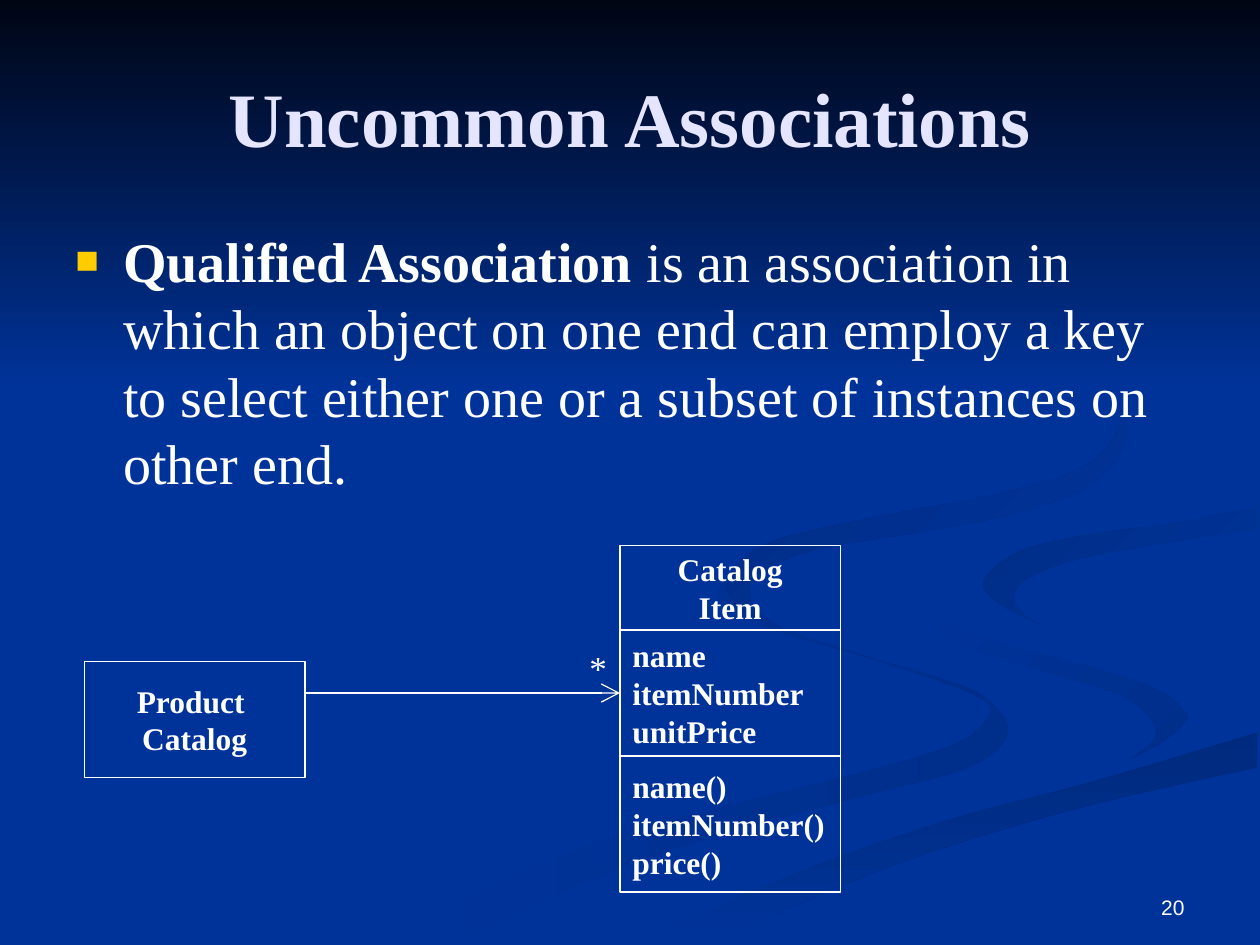
"""Build the Uncommon Associations slide with its class diagram."""
from lxml import etree
from pptx import Presentation
from pptx.dml.color import RGBColor
from pptx.enum.shapes import MSO_CONNECTOR as CONN, MSO_SHAPE as SHAPE
from pptx.enum.text import MSO_ANCHOR as ANCHOR, PP_ALIGN as ALIGN
from pptx.oxml.ns import qn
from pptx.util import Inches, Pt

C = {name: RGBColor.from_string(value) for name, value in {
    "bg": "003399", "night": "000514", "title": "E5E5FF", "white": "FFFFFF",
    "bullet": "FFCC00", "deep": "002A7D", "shade": "002B82", "dusk": "002D86",
    "dim": "002E8B"}.items()}
STEPS = 6


def smooth(knots):
    """Return points on a Catmull-Rom curve through the knots."""
    padded = [knots[0], *knots, knots[-1]]
    curve = []
    for a, b, c, d in zip(padded, padded[1:], padded[2:], padded[3:]):
        for step in range(STEPS):
            t = step / STEPS
            curve.append(tuple(
                (2 * q + (r - p) * t + (2 * p - 5 * q + 4 * r - s) * t ** 2
                 + (3 * q - p - 3 * r + s) * t ** 3) / 2
                for p, q, r, s in zip(a, b, c, d)))
    return curve + [knots[-1]]


def write(sp, paras, size, color="white", font="Times New Roman",
          align=ALIGN.LEFT, anchor=ANCHOR.TOP):
    """Fill a shape with paragraphs of (text, bold) runs."""
    tf = sp.text_frame
    for name, value in {"word_wrap": True, "vertical_anchor": anchor}.items():
        setattr(tf, name, value)
    for i, runs in enumerate(paras):
        p = tf.add_paragraph() if i else tf.paragraphs[0]
        p.alignment = align
        for text, bold in runs:
            r = p.add_run()
            r.text = text
            for name, value in {"size": Pt(size), "name": font, "bold": bold}.items():
                setattr(r.font, name, value)
            r.font.color.rgb = C[color]
    return tf


prs = Presentation()
prs.slide_width, prs.slide_height = Inches(10), Inches(7.5)
s = prs.slides.add_slide(prs.slide_layouts[6])
s.background.fill.solid()
s.background.fill.fore_color.rgb = C["bg"]

stream_outer = [(5.75, 4.59), (5.83, 4.77), (6.14, 4.96), (6.82, 5.19), (7.45, 5.38), (7.81, 5.53),
                (8, 5.81), (7.69, 6.09), (6.76, 6.34), (5.64, 6.65), (4.66, 7), (3.61, 7.49)]
stream_inner = [(5.75, 4.59), (5.72, 4.76), (6.11, 4.99), (6.79, 5.19), (7.41, 5.39), (7.76, 5.53),
                (7.86, 5.66), (7.59, 5.9), (6.84, 6.13), (5.79, 6.39), (4.58, 6.74), (3, 7.49)]
fold_outer = [(7.24, 4.64), (7.45, 4.9), (7.92, 5.09), (8.7, 5.3), (9.19, 5.47), (9.43, 5.7),
              (9.32, 5.89), (8.94, 6.05)]
fold_inner = [(7.24, 4.64), (7.39, 4.94), (7.81, 5.18), (8.38, 5.36), (8.92, 5.53), (9.18, 5.81),
              (8.94, 6.05)]
bank_top = [(5.03, 7.49), (5.69, 7.19), (6.62, 6.81), (7.64, 6.47), (8.67, 6.2), (9.98, 5.81)]
bank_bottom = [(5.71, 7.49), (6.3, 7.19), (7.22, 6.82), (8.21, 6.51), (9.03, 6.3), (9.98, 6.09)]
pool_outer = [(9.98, 4.02), (9.33, 4.15), (8.65, 4.24), (8.1, 4.37), (7.81, 4.6), (7.91, 4.78),
              (8.26, 4.96)]
pool_inner = [(9.98, 4.2), (9.36, 4.29), (8.59, 4.43), (8.16, 4.59), (8.05, 4.74), (8.12, 4.87),
              (8.26, 4.96)]
crest_outer = [(7.62, 2.33), (8.21, 2.61), (8.73, 2.99), (8.94, 3.44), (8.67, 3.84), (8.07, 4.07),
               (7.39, 4.21), (6.49, 4.36), (6.01, 4.56), (5.97, 4.8), (6.22, 5)]
crest_inner = [(7.62, 2.33), (8.26, 2.66), (8.76, 3.06), (8.89, 3.35), (8.61, 3.7), (7.91, 3.92),
               (6.76, 4.14), (6.05, 4.33), (5.77, 4.62), (5.9, 4.84), (6.22, 5)]
river_source = [(9.98, 3.87), (9.2, 4.01), (8.3, 4.15), (7.55, 4.32)]
river_mouth = [(8.92, 6.05), (7.8, 6.34), (6.63, 6.68), (5.73, 7.03), (4.77, 7.49)]
river_left = smooth(river_source + fold_outer[:6] + river_mouth)
river_right = smooth(pool_outer + [(9.04, 5.19), (9.98, 5.38)]) + smooth(bank_top[::-1])

ribbons = [
    (smooth(stream_outer), smooth(stream_inner), "bg", "dim", 0),
    (smooth(fold_outer), smooth(fold_inner), "bg", "dim", 45),
    (smooth(bank_top), smooth(bank_bottom), "deep", "bg", 90),
    (river_left, river_right, "bg", "bg", 0),
    (smooth(pool_outer), smooth(pool_inner), "dusk", "bg", 45),
    (smooth(crest_outer), smooth(crest_inner), "shade", "bg", 45),
    ([(0, 0), (10, 0)], [(0, 3.08), (10, 3.08)], "night", "bg", 90),
]
for edge, other_edge, first, last, angle in ribbons:
    outline = [(Inches(x), Inches(y)) for x, y in edge + other_edge[::-1]]
    builder = s.shapes.build_freeform(*outline[0])
    builder.add_line_segments(outline[1:], close=True)
    sp = builder.convert_to_shape()
    sp.shadow.inherit = False
    sp.line.fill.background()
    sp.fill.gradient()
    sp.fill.gradient_angle = -angle % 360
    for stop, color in zip(sp.fill.gradient_stops, (first, last)):
        stop.color.rgb = C[color]

title = s.shapes.add_textbox(Inches(0.5), Inches(0.3), Inches(9), Inches(1.25))
write(title, [[("Uncommon Associations", True)]], 44, "title",
      align=ALIGN.CENTER, anchor=ANCHOR.MIDDLE)

body = s.shapes.add_textbox(Inches(0.5), Inches(1.75), Inches(9), Inches(2.25))
definition = [("Qualified Association", True),
              (" is an association in which an object on one end can employ a key "
               "to select either one or a subset of instances on other end.", False)]
p = write(body, [definition], 32).paragraphs[0]
p.space_before = Pt(8)
pPr = p._p.get_or_add_pPr()
for name, value in {"marL": 0.38, "indent": -0.38}.items():
    pPr.set(name, str(Inches(value)))
bullet_color = etree.SubElement(pPr, qn("a:buClr"))
etree.SubElement(bullet_color, qn("a:srgbClr"), val=str(C["bullet"]))
for tag, attrs in {"a:buSzPct": {"val": "70000"}, "a:buFont": {"typeface": "Arial"},
                   "a:buChar": {"char": "■"}}.items():
    etree.SubElement(pPr, qn(tag), attrs)

box_w, catalog_x, item_x, arrow_y = 1.75, 0.67, 4.92, 5.5
class_boxes = [
    (catalog_x, 5.25, 0.92, ALIGN.CENTER, ["Product ", "Catalog"]),
    (item_x, 4.33, 0.67, ALIGN.CENTER, ["Catalog", "Item"]),
    (item_x, 5, 1, ALIGN.LEFT, ["name", "itemNumber", "unitPrice"]),
    (item_x, 6, 1.08, ALIGN.LEFT, ["name()", "itemNumber()", "price()"]),
]
outlined = []
for x, y, h, align, lines in class_boxes:
    sp = s.shapes.add_shape(SHAPE.RECTANGLE, Inches(x), Inches(y), Inches(box_w), Inches(h))
    sp.shadow.inherit = False
    sp.fill.background()
    write(sp, [[(line, True)] for line in lines], 18, align=align, anchor=ANCHOR.MIDDLE)
    outlined.append(sp)

arrow = s.shapes.add_connector(CONN.STRAIGHT, Inches(catalog_x + box_w), Inches(arrow_y),
                               Inches(item_x), Inches(arrow_y))
outlined.append(arrow)
for sp in outlined:
    sp.line.color.rgb = C["white"]
    sp.line.width = Pt(0.75)
spPr = arrow._element.spPr
etree.SubElement(spPr.find(qn("a:ln")), qn("a:tailEnd"), type="arrow", w="lg", len="lg")
etree.SubElement(spPr, qn("a:effectLst"))

multiplicity = s.shapes.add_textbox(Inches(4.58), Inches(5.08), Inches(0.25), Inches(0.44))
write(multiplicity, [[("*", False)]], 20)

number = s.shapes.add_textbox(Inches(7.17), Inches(6.83), Inches(2.33), Inches(0.52))
write(number, [[("20", False)]], 12, font="Arial", align=ALIGN.RIGHT, anchor=ANCHOR.BOTTOM)

prs.save("out.pptx")
